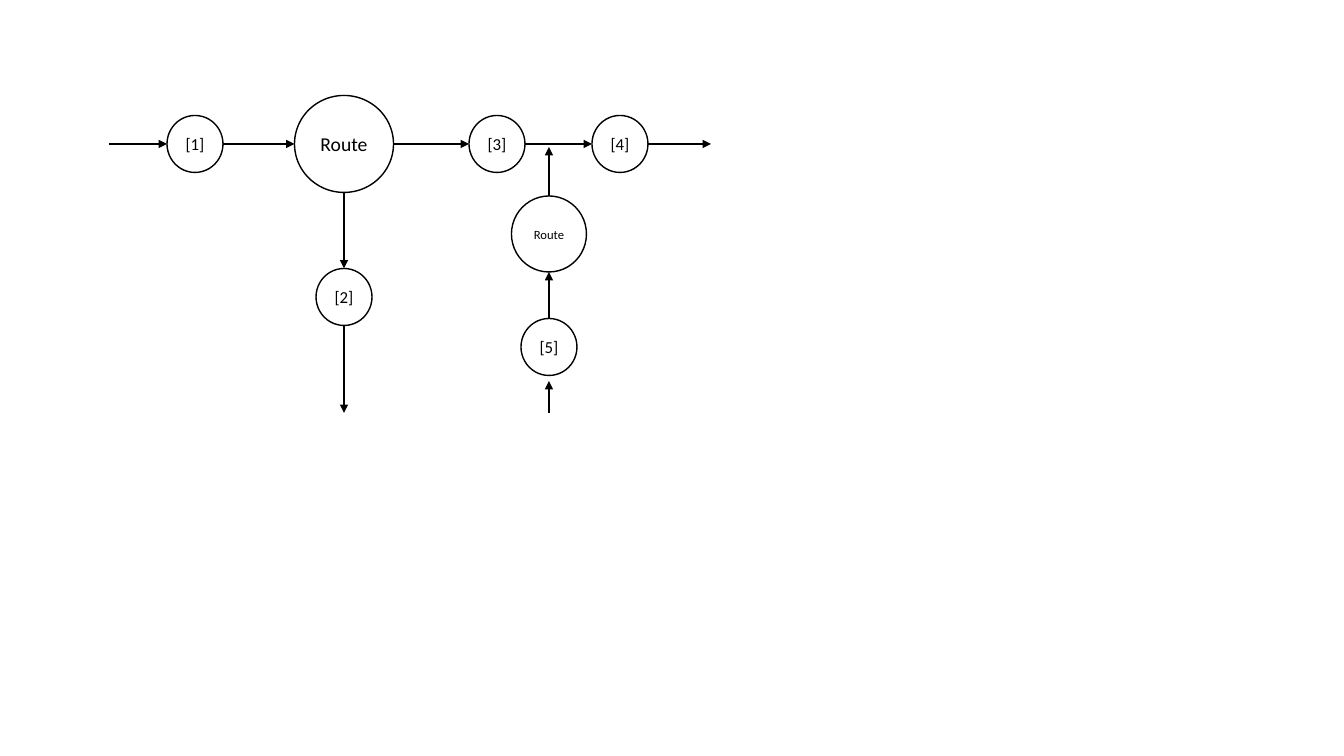
"""Build a slide with a routing diagram of circles joined by arrows."""
from lxml import etree
from pptx import Presentation
from pptx.dml.color import RGBColor
from pptx.enum.shapes import MSO_CONNECTOR, MSO_SHAPE
from pptx.enum.text import MSO_ANCHOR, PP_ALIGN
from pptx.oxml.ns import qn
from pptx.util import Pt

OVAL = MSO_SHAPE.OVAL
STRAIGHT = MSO_CONNECTOR.STRAIGHT
MIDDLE = MSO_ANCHOR.MIDDLE
CENTER = PP_ALIGN.CENTER
BLACK = RGBColor(0, 0, 0)
WHITE = RGBColor(255, 255, 255)
FONT = "Calibri"
PX = 914400 / 100.8

MAIN_Y, SPLIT_X, MERGE_X, END_Y = 144, 344, 549, 413
SMALL = (56, 57)

# name: text, centre, size, font size
NODES = {
    "1": ("[1]", (195, MAIN_Y), SMALL, 12),
    "split": ("Route", (SPLIT_X, MAIN_Y), (99, 97), 14),
    "2": ("[2]", (SPLIT_X, 297), SMALL, 12),
    "3": ("[3]", (497, MAIN_Y), SMALL, 12),
    "4": ("[4]", (620, MAIN_Y), SMALL, 12),
    "5": ("[5]", (MERGE_X, 347), SMALL, 12),
    "merge": ("Route", (MERGE_X, 234), (75, 76), 9),
}

# start, end, line width; each end is a node name or a point
ARROWS = [
    ((109, MAIN_Y), "1", 1.5),
    ("1", "split", 1.5),
    ("split", "2", 1.5),
    ("2", (SPLIT_X, END_Y), 1.5),
    ("split", "3", 1.5),
    ("3", "4", 1.5),
    ("4", (711, MAIN_Y), 1.5),
    ("5", "merge", 1),
    ("merge", (MERGE_X, 147), 1),
    ((MERGE_X, END_Y), (MERGE_X, 381), 1),
]


def emu(*lengths):
    return [round(n * PX) for n in lengths]


def write(s, text, size, color=BLACK, align=CENTER):
    tf = s.text_frame
    tf.margin_left = tf.margin_right = tf.margin_top = tf.margin_bottom = 0
    tf.word_wrap = False
    tf.vertical_anchor = MIDDLE
    p = tf.paragraphs[0]
    p.alignment = align
    r = p.add_run()
    r.text = text
    r.font.name, r.font.size = FONT, Pt(size)
    r.font.color.rgb = color


def add_node(slide, text, centre, size, font_size):
    (x, y), (w, h) = centre, size
    s = slide.shapes.add_shape(OVAL, *emu(x - w / 2, y - h / 2, w, h))
    s.shadow.inherit = False
    s.fill.solid()
    s.fill.fore_color.rgb = WHITE
    s.line.color.rgb = BLACK
    s.line.width = Pt(1)
    write(s, text, font_size)


def middle(end):
    return NODES[end][1] if isinstance(end, str) else end


def edge(end, other):
    """Return the point where a line from end towards other leaves its node."""
    x, y = middle(end)
    if not isinstance(end, str):
        return x, y
    w, h = NODES[end][2]
    ox, oy = middle(other)
    if oy == y:
        return x + (w / 2 if ox > x else -w / 2), y
    return x, y + (h / 2 if oy > y else -h / 2)


def add_arrow(slide, start, end, width):
    points = emu(*edge(start, end), *edge(end, start))
    s = slide.shapes.add_connector(STRAIGHT, *points)
    s.line.color.rgb = BLACK
    s.line.width = Pt(width)
    etree.SubElement(s.line._get_or_add_ln(), qn("a:tailEnd"), type="triangle")
    etree.SubElement(s._element.spPr, qn("a:effectLst"))


def main():
    prs = Presentation()
    prs.slide_width, prs.slide_height = emu(1344, 756)
    slide = prs.slides.add_slide(prs.slide_layouts[6])
    for node in NODES.values():
        add_node(slide, *node)
    for arrow in ARROWS:
        add_arrow(slide, *arrow)
    prs.save("out.pptx")


if __name__ == "__main__":
    main()
